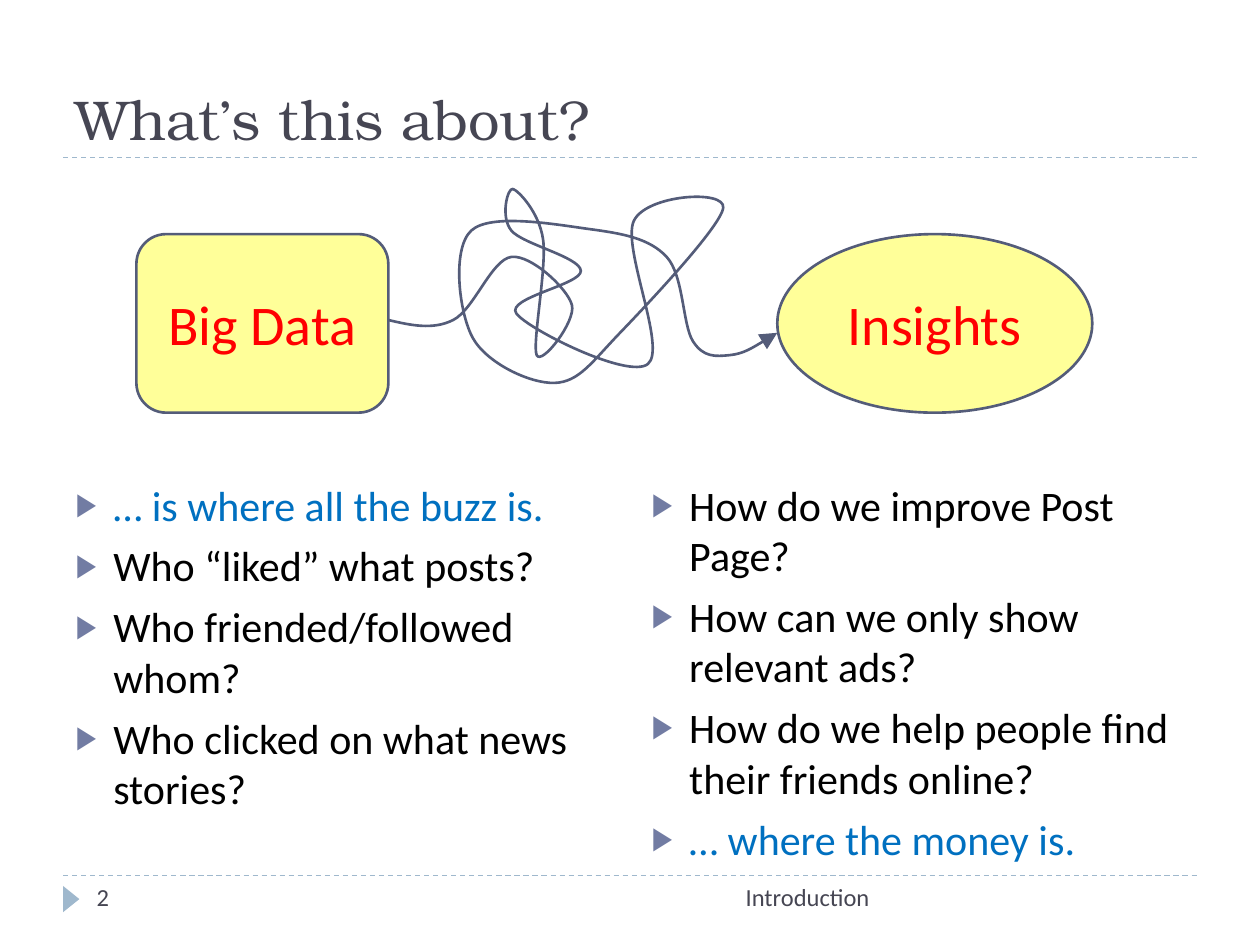
import dataclasses

import lxml.etree
import pptx
import pptx.dml.color
import pptx.enum.dml
import pptx.enum.shapes
import pptx.enum.text
import pptx.oxml.ns
import pptx.util

Cm = pptx.util.Cm
Pt = pptx.util.Pt
qn = pptx.oxml.ns.qn
Kind = pptx.enum.shapes.MSO_SHAPE
Align = pptx.enum.text.PP_ALIGN
Anchor = pptx.enum.text.MSO_ANCHOR


@dataclasses.dataclass
class Theme:
    head: str = "TeX Gyre Bonum"
    body: str = "Calibri"
    big: int = 32
    text: int = 24
    small: int = 14
    dark: str = "464653"
    black: str = "000000"
    blue: str = "0070C0"
    red: str = "FF0000"
    yellow: str = "FFFF00"
    edge: str = "545C79"
    rule: str = "9FB8CD"
    mark: str = "727CA3"


def rgb(code):
    return pptx.dml.color.RGBColor.from_string(code)


def sub(node, tag, **attrs):
    return lxml.etree.SubElement(node, qn(tag), **attrs)


def place(shape, box):
    shape.left, shape.top, shape.width, shape.height = map(Cm, box)


class Deck:
    def __init__(self, theme):
        self.theme = theme
        self.file = pptx.Presentation()
        self.file.slide_width, self.file.slide_height = Cm(25.4), Cm(19.05)
        self.slide = self.file.slides.add_slide(self.file.slide_layouts[3])
        self.shapes = self.slide.shapes

    def style(self, para, size, color, face=None, align=Align.LEFT):
        para.alignment = align
        para.font.size = Pt(size)
        para.font.name = face or self.theme.body
        para.font.color.rgb = rgb(color)

    def title(self, text, box):
        shape = self.shapes.title
        place(shape, box)
        frame = shape.text_frame
        frame.text = text
        frame.auto_size = pptx.enum.text.MSO_AUTO_SIZE.NONE
        frame.vertical_anchor = Anchor.BOTTOM
        self.style(frame.paragraphs[0], self.theme.big, self.theme.dark, self.theme.head)

    def bullets(self, slot, items, box):
        shape = self.slide.placeholders[slot]
        place(shape, box)
        frame = shape.text_frame
        frame.text = "\n".join(text for text, color in items)
        frame.auto_size = pptx.enum.text.MSO_AUTO_SIZE.NONE
        for para, (text, color) in zip(frame.paragraphs, items):
            para.space_before = Pt(6)
            props = para._p.get_or_add_pPr()
            props.set("marL", str(Cm(0.76)))
            props.set("indent", str(-Cm(0.76)))
            sub(sub(props, "a:buClr"), "a:srgbClr", val=self.theme.mark)
            sub(props, "a:buSzPct", val="76000")
            sub(props, "a:buChar", char="▶")
            self.style(para, self.theme.text, color)

    def label(self, text, box, align=Align.LEFT):
        frame = self.shapes.add_textbox(*map(Cm, box)).text_frame
        frame.word_wrap = True
        frame.text = text
        self.style(frame.paragraphs[0], self.theme.small, self.theme.dark, align=align)

    def rule(self, top):
        line = self.shapes.add_connector(
            pptx.enum.shapes.MSO_CONNECTOR.STRAIGHT, Cm(1.27), Cm(top), Cm(24.13), Cm(top))
        self.stroke(line, self.theme.rule, 0.75)
        line.line.dash_style = pptx.enum.dml.MSO_LINE.DASH
        sub(line.element.spPr, "a:effectLst")

    def stroke(self, shape, color, width):
        shape.line.color.rgb = rgb(color)
        shape.line.width = Pt(width)

    def shape(self, kind, box, color):
        shape = self.shapes.add_shape(kind, *map(Cm, box))
        shape.shadow.inherit = False
        shape.fill.solid()
        shape.fill.fore_color.rgb = rgb(color)
        return shape

    def arrow(self, box):
        shape = self.shape(Kind.ISOSCELES_TRIANGLE, box, self.theme.rule)
        shape.rotation = 90
        shape.line.fill.background()

    def node(self, kind, text, box):
        shape = self.shape(kind, box, self.theme.yellow)
        tint = shape.element.spPr.find(qn("a:solidFill")).find(qn("a:srgbClr"))
        sub(tint, "a:alpha", val="40000")
        self.stroke(shape, self.theme.edge, 1.5)
        frame = shape.text_frame
        frame.text = text
        frame.vertical_anchor = Anchor.MIDDLE
        self.style(frame.paragraphs[0], self.theme.big, self.theme.red, align=Align.CENTER)

    def curve(self, knots):
        spots = [(Cm(x), Cm(y)) for x, y in knots]
        pen = self.shapes.build_freeform(*spots[0])
        pen.add_line_segments(spots[1:], close=False)
        shape = pen.convert_to_shape()
        shape.shadow.inherit = False
        shape.fill.background()
        self.stroke(shape, self.theme.edge, 1.5)
        sub(shape.line._get_or_add_ln(), "a:tailEnd", type="triangle", w="lg", len="lg")
        self.bend(shape.element.spPr.find(qn("a:custGeom")))

    def bend(self, geom):
        pts = [(int(p.get("x")), int(p.get("y"))) for p in geom.iter(qn("a:pt"))]
        last = len(pts) - 1

        def lean(i, sign):
            return tuple(b + sign * (c - a) / 6
                         for a, b, c in zip(pts[i - 1], pts[i], pts[i + 1]))

        def mid(one, two):
            return tuple((a + b) / 2 for a, b in zip(one, two))

        for i, step in enumerate(list(geom.iter(qn("a:lnTo")))):
            near = lean(i, 1) if i else mid(pts[0], lean(1, -1))
            far = lean(i + 1, -1) if i + 1 < last else mid(pts[last], near)
            cubic = lxml.etree.Element(qn("a:cubicBezTo"))
            for x, y in (near, far, pts[i + 1]):
                sub(cubic, "a:pt", x=str(round(x)), y=str(round(y)))
            step.getparent().replace(step, cubic)


def main():
    theme = Theme()
    deck = Deck(theme)
    for top in (17.65, 3.18):
        deck.rule(top)
    deck.arrow((1.17, 17.96, 0.53, 0.33))
    deck.title("What’s this about?", (1.27, 0.64, 22.86, 2.54))
    deck.label("Introduction", (8.05, 17.65, 9.73, 1.02), Align.RIGHT)
    deck.label("2", (1.7, 17.65, 5.51, 1.02))

    lists = [
        [("… is where all the buzz is.", theme.blue),
         ("Who “liked” what posts?", theme.black),
         ("Who friended/followed whom?", theme.black),
         ("Who clicked on what news stories?", theme.black)],
        [("How do we improve Post Page?", theme.black),
         ("How can we only show relevant ads?", theme.black),
         ("How do we help people find their friends online?", theme.black),
         ("… where the money is.", theme.blue)],
    ]
    for i, items in enumerate(lists):
        deck.bullets(i + 1, items, (1.27 + i * 11.61, 9.53, 11.23, 7.57))

    deck.node(Kind.ROUNDED_RECTANGLE, "Big Data", (2.75, 4.72, 5.08, 3.6))
    deck.node(Kind.OVAL, "Insights", (15.67, 4.72, 6.35, 3.6))
    deck.curve([
        (7.82, 6.45), (9.14, 6.45), (10.31, 5.18), (11.53, 6.15), (10.82, 7.16),
        (10.95, 4.83), (10.34, 3.81), (10.31, 4.65), (11.71, 5.46), (10.41, 6.32),
        (13.06, 7.34), (12.78, 4.45), (14.58, 4.19), (12.5, 6.71), (11.18, 7.72),
        (9.53, 6.81), (9.5, 4.65), (11.89, 4.62), (13.44, 5.18), (13.97, 6.88),
        (14.71, 7.16), (15.67, 6.71)])
    deck.file.save("out.pptx")


if __name__ == "__main__":
    main()
